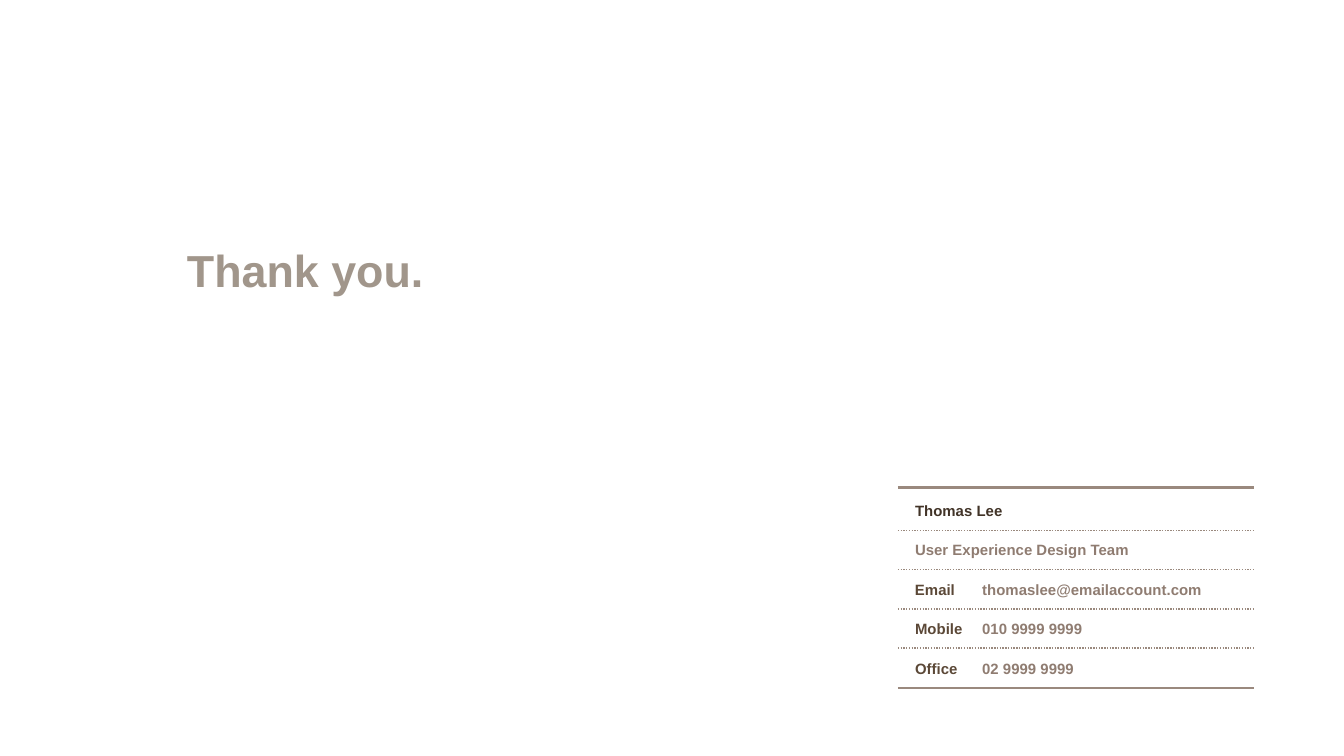
"""Build the closing slide with a thank-you line and a ruled contact card."""
from lxml import etree
from pptx import Presentation
from pptx.dml.color import RGBColor
from pptx.enum.dml import MSO_LINE
from pptx.enum.shapes import MSO_CONNECTOR
from pptx.enum.text import MSO_AUTO_SIZE, PP_ALIGN
from pptx.oxml.ns import qn
from pptx.util import Pt

STRAIGHT = MSO_CONNECTOR.STRAIGHT
DOTTED = MSO_LINE.ROUND_DOT
FIT_SHAPE = MSO_AUTO_SIZE.SHAPE_TO_FIT_TEXT
LEFT, CENTER = PP_ALIGN.LEFT, PP_ALIGN.CENTER

TITLE_COLOR = RGBColor(0xA1, 0x96, 0x8B)
NAME_COLOR = RGBColor(0x41, 0x33, 0x27)
LABEL_COLOR = RGBColor(0x5B, 0x48, 0x37)
VALUE_COLOR = RGBColor(0x8F, 0x7C, 0x71)
RULE_COLOR = RGBColor(0x9A, 0x89, 0x7E)

LABEL_LEFT, VALUE_LEFT = 483.1, 519.1
CARD_ROWS = [
    [("Thomas Lee", LABEL_LEFT, 62, NAME_COLOR)],
    [("User Experience Design Team", LABEL_LEFT, 131, VALUE_COLOR)],
    [("Email", LABEL_LEFT, 45.4, LABEL_COLOR),
     ("thomaslee@emailaccount.com", VALUE_LEFT, 133.2, VALUE_COLOR)],
    [("Mobile", LABEL_LEFT, 42.5, LABEL_COLOR),
     ("010 9999 9999", VALUE_LEFT, 69.1, VALUE_COLOR)],
    [("Office", LABEL_LEFT, 39.6, LABEL_COLOR),
     ("02 9999 9999", VALUE_LEFT, 64.8, VALUE_COLOR)],
]
CARD_LEFT, CARD_RIGHT = 481, 671.8
CARD_TOP, CARD_BOTTOM = 261.4, 368.6
FIRST_TEXT_TOP, TEXT_STEP, TEXT_HEIGHT = 265, 21.2, 17
FIRST_DIVIDER, DIVIDER_STEP = 284.2, 21


def add_text(page, text, left, top, width, height, size, color, align=LEFT):
    box = page.shapes.add_textbox(Pt(left), Pt(top), Pt(width), Pt(height))
    frame = box.text_frame
    frame.word_wrap = False
    frame.auto_size = FIT_SHAPE
    para = frame.paragraphs[0]
    para.alignment = align
    span = para.add_run()
    span.text = text
    span.font.name = "Arial"
    span.font.size = Pt(size)
    span.font.bold = True
    span.font.color.rgb = color


def add_rule(page, y, weight, dash=None):
    rule = page.shapes.add_connector(
        STRAIGHT, Pt(CARD_LEFT), Pt(y), Pt(CARD_RIGHT), Pt(y))
    rule.line.color.rgb = RULE_COLOR
    rule.line.width = Pt(weight)
    if dash is not None:
        rule.line.dash_style = dash
    etree.SubElement(rule._element.spPr, qn("a:effectLst"))


def main():
    deck = Presentation()
    deck.slide_width, deck.slide_height = Pt(720), Pt(405)
    page = deck.slides.add_slide(deck.slide_layouts[6])

    add_text(page, "Thank you.", 92.2, 126.7, 142.6, 36, 24, TITLE_COLOR, CENTER)

    for y in (CARD_TOP, CARD_BOTTOM):
        add_rule(page, y, 1.5)
    for index, row in enumerate(CARD_ROWS):
        top = FIRST_TEXT_TOP + index * TEXT_STEP
        for text, left, width, color in row:
            add_text(page, text, left, top, width, TEXT_HEIGHT, 8, color)
    for index in range(len(CARD_ROWS) - 1):
        add_rule(page, FIRST_DIVIDER + index * DIVIDER_STEP, 0.75, DOTTED)

    deck.save("out.pptx")


if __name__ == "__main__":
    main()
